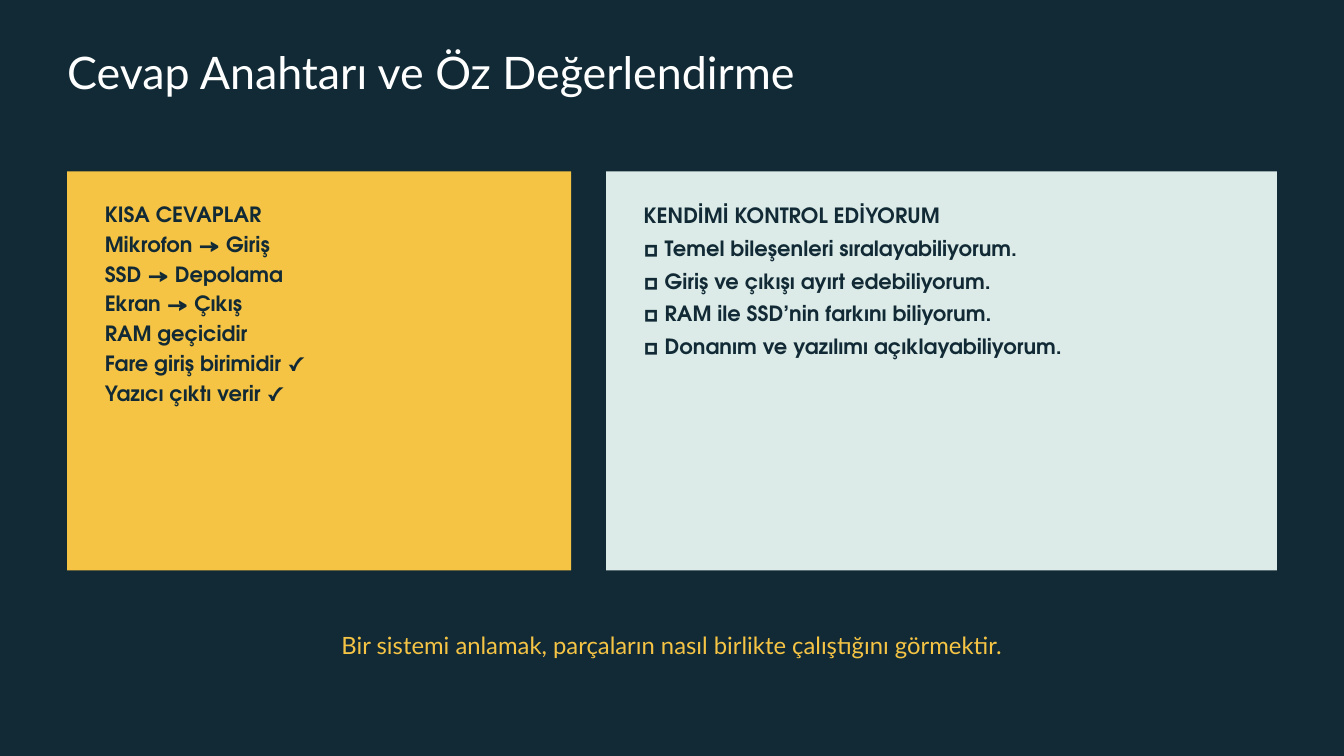
from dataclasses import dataclass

import pptx
import pptx.dml.color
import pptx.enum.shapes
import pptx.enum.text
import pptx.util

Pt = pptx.util.Pt
Align = pptx.enum.text.PP_ALIGN


@dataclass(frozen=True)
class Theme:
    navy: str = "112A35"
    yellow: str = "F6C445"
    mint: str = "DCEBE7"
    white: str = "FFFFFF"
    heading_font: str = "Lato"
    body_font: str = "TeX Gyre Adventor"
    title_size: float = 48
    body_size: float = 22.5
    closing_size: float = 25.5


THEME = Theme()
SLIDE_WIDTH, SLIDE_HEIGHT = 1440, 810
MARGIN = 72
CARD_TOP, CARD_HEIGHT = 183.6, 427.7
ANSWERS_WIDTH, CARD_GAP = 540, 37.4
CARD_PADDING = 40.3

ANSWERS = [
    "KISA CEVAPLAR",
    "Mikrofon → Giriş",
    "SSD → Depolama",
    "Ekran → Çıkış",
    "RAM geçicidir",
    "Fare giriş birimidir ✓",
    "Yazıcı çıktı verir ✓",
]
CHECKLIST = [
    "KENDİMİ KONTROL EDİYORUM",
    "□ Temel bileşenleri sıralayabiliyorum.",
    "□ Giriş ve çıkışı ayırt edebiliyorum.",
    "□ RAM ile SSD’nin farkını biliyorum.",
    "□ Donanım ve yazılımı açıklayabiliyorum.",
]


def rgb(color):
    return pptx.dml.color.RGBColor.from_string(color)


def add_text(slide, box, lines, font, size, color, spacing, bold=False, align=Align.LEFT):
    """Place one paragraph per line, without insets, in the given box."""
    shape = slide.shapes.add_textbox(*(Pt(length) for length in box))
    frame = shape.text_frame
    frame.word_wrap = True
    frame.margin_left = frame.margin_right = frame.margin_top = frame.margin_bottom = 0
    for index, line in enumerate(lines):
        paragraph = frame.paragraphs[0] if index == 0 else frame.add_paragraph()
        paragraph.alignment = align
        paragraph.line_spacing = Pt(spacing)
        run = paragraph.add_run()
        run.text = line
        run.font.name = font
        run.font.size = Pt(size)
        run.font.bold = bold
        run.font.color.rgb = rgb(color)


def add_title(slide, box):
    add_text(slide, box, ["Cevap Anahtarı ve Öz Değerlendirme"],
             THEME.heading_font, THEME.title_size, THEME.white, 50.4)


def add_card(slide, box, fill, lines, text_offset, spacing):
    """Draw a filled panel with its list starting text_offset below the top."""
    left, top, width, height = box
    card = slide.shapes.add_shape(
        pptx.enum.shapes.MSO_SHAPE.RECTANGLE, *(Pt(length) for length in box))
    card.shadow.inherit = False
    card.fill.solid()
    card.fill.fore_color.rgb = rgb(fill)
    card.line.fill.background()
    text_box = (left + CARD_PADDING, top + text_offset,
                width - 2 * CARD_PADDING, len(lines) * spacing)
    add_text(slide, text_box, lines, THEME.body_font, THEME.body_size,
             THEME.navy, spacing, bold=True)


def add_closing_line(slide, box):
    add_text(slide, box,
             ["Bir sistemi anlamak, parçaların nasıl birlikte çalıştığını görmektir."],
             THEME.heading_font, THEME.closing_size, THEME.yellow, 35.7,
             align=Align.CENTER)


def main():
    presentation = pptx.Presentation()
    presentation.slide_width = Pt(SLIDE_WIDTH)
    presentation.slide_height = Pt(SLIDE_HEIGHT)
    slide = presentation.slides.add_slide(presentation.slide_layouts[6])
    slide.background.fill.solid()
    slide.background.fill.fore_color.rgb = rgb(THEME.navy)

    add_title(slide, (MARGIN, 54.7, 1124.6, 51.1))
    add_card(slide, (MARGIN, CARD_TOP, ANSWERS_WIDTH, CARD_HEIGHT),
             THEME.yellow, ANSWERS, 27.4, 31.9)
    checklist_left = MARGIN + ANSWERS_WIDTH + CARD_GAP
    checklist_width = SLIDE_WIDTH - MARGIN - checklist_left
    add_card(slide, (checklist_left, CARD_TOP, checklist_width, CARD_HEIGHT),
             THEME.mint, CHECKLIST, 25.9, 34.9)
    closing_width = 1050
    add_closing_line(slide, ((SLIDE_WIDTH - closing_width) / 2, 671, closing_width, 33.8))

    presentation.save("out.pptx")


if __name__ == "__main__":
    main()
